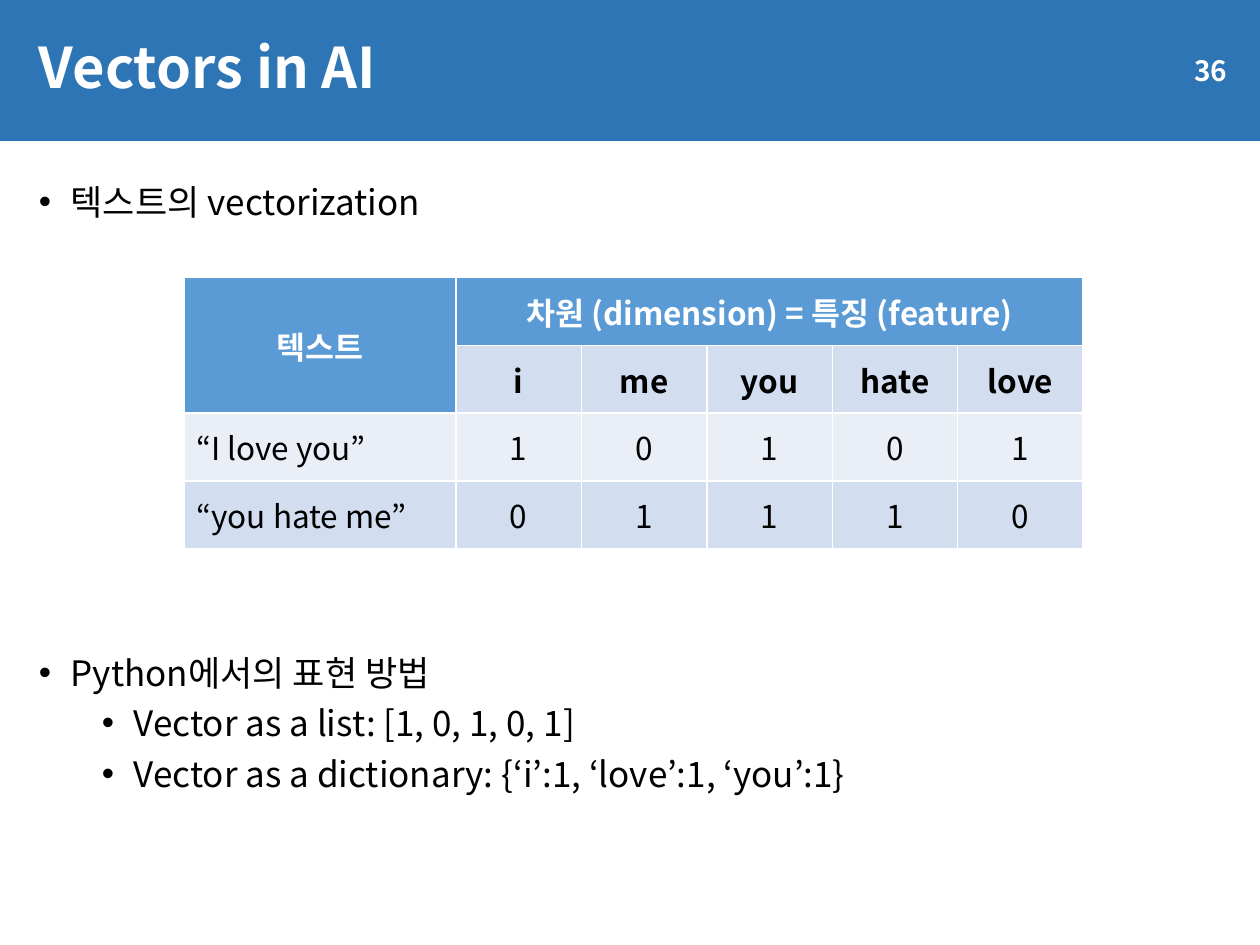
"""Build the "Vectors in AI" slide with a word-vector table and two bullet topics."""
from lxml.etree import SubElement
from pptx import Presentation
from pptx.dml.color import RGBColor
from pptx.enum.shapes import MSO_SHAPE as Shape
from pptx.enum.text import MSO_ANCHOR as Anchor, MSO_AUTO_SIZE as AutoSize, PP_ALIGN as Align
from pptx.oxml.ns import qn
from pptx.util import Cm, Pt

FONT = "Noto Sans CJK KR"
BLUE, HEAD, BAND, LIGHT = "2E75B6", "5B9BD5", "D2DEEF", "EAEFF7"
WHITE, BLACK = "FFFFFF", "000000"

TITLE = "Vectors in AI"
NUMBER = "36"
BULLETS = [  # level, space before, text
    (0, 0, "텍스트의 vectorization"),
    (0, 245, "Python에서의 표현 방법"),
    (1, 5, "Vector as a list: [1, 0, 1, 0, 1]"),
    (1, 5, "Vector as a dictionary: {‘i’:1, ‘love’:1, ‘you’:1}"),
]
ROWS = [
    ["텍스트", "차원 (dimension) = 특징 (feature)", "", "", "", ""],
    ["", "i", "me", "you", "hate", "love"],
    ["“I love you”", "1", "0", "1", "0", "1"],
    ["“you hate me”", "0", "1", "1", "1", "0"],
]
ROW_FILLS = [HEAD, BAND, LIGHT, BAND]
COL_WIDTHS = [5.48] + [2.53] * 5
ROW_HEIGHT = 1.37


def paint(obj, color):
    obj.fill.solid()
    obj.fill.fore_color.rgb = RGBColor.from_string(color)


def place(sp, left, top, width, height):
    sp.left, sp.top, sp.width, sp.height = Cm(left), Cm(top), Cm(width), Cm(height)


def write(p, text, size, color, bold=False, align=Align.LEFT):
    p.alignment = align
    r = p.add_run()
    r.text = text
    r.font.size, r.font.bold, r.font.name = Pt(size), bold, FONT
    r.font.color.rgb = RGBColor.from_string(color)
    SubElement(r.font._element, qn("a:ea"), typeface=FONT)


def add_bar(slide):
    sp = slide.shapes.add_shape(Shape.RECTANGLE, 0, 0, Cm(25.4), Cm(2.84))
    sp.shadow.inherit = False
    paint(sp, BLUE)
    sp.line.fill.background()
    slide.shapes._spTree.insert(2, sp._element)


def add_title(slide):
    sp = slide.shapes.title
    place(sp, 0.53, 0.33, 24.43, 2.16)
    paint(sp, BLUE)
    tf = sp.text_frame
    tf.auto_size, tf.vertical_anchor = AutoSize.NONE, Anchor.MIDDLE
    p = tf.paragraphs[0]
    p.line_spacing = 0.9
    write(p, TITLE, 32, WHITE, True)


def add_bullets(slide):
    sp = slide.placeholders[1]
    place(sp, 0.53, 3.51, 24.43, 15.14)
    tf = sp.text_frame
    tf.auto_size, tf.vertical_anchor = AutoSize.NONE, Anchor.TOP
    for i, (level, before, text) in enumerate(BULLETS):
        p = tf.add_paragraph() if i else tf.paragraphs[0]
        p.level, p.line_spacing, p.space_before = level, 1.0, Pt(before)
        write(p, text, 20, BLACK)
        pPr = p._p.get_or_add_pPr()
        pPr.set("marL", str(Cm(0.64 + 1.27 * level)))
        pPr.set("indent", str(-Cm(0.64)))
        SubElement(pPr, qn("a:buFont"), typeface="Arial")
        SubElement(pPr, qn("a:buChar"), char="•")


def add_number(slide):
    sp = slide.shapes.add_textbox(Cm(21.56), Cm(0.91), Cm(3.43), Cm(1.02))
    paint(sp, BLUE)
    tf = sp.text_frame
    tf.word_wrap, tf.vertical_anchor = True, Anchor.MIDDLE
    write(tf.paragraphs[0], NUMBER, 16, WHITE, True, Align.RIGHT)


def add_vectors(slide):
    table = slide.shapes.add_table(
        len(ROWS), len(COL_WIDTHS), Cm(3.71), Cm(5.59),
        Cm(sum(COL_WIDTHS)), Cm(ROW_HEIGHT * len(ROWS))).table
    for col, width in zip(table.columns, COL_WIDTHS):
        col.width = Cm(width)
    for i, texts in enumerate(ROWS):
        table.rows[i].height = Cm(ROW_HEIGHT)
        for j, text in enumerate(texts):
            cell = table.cell(i, j)
            cell.vertical_anchor = Anchor.MIDDLE
            paint(cell, HEAD if i < 2 and j == 0 else ROW_FILLS[i])
            if text:
                align = Align.LEFT if i > 1 and j == 0 else Align.CENTER
                write(cell.text_frame.paragraphs[0], text, 18,
                      BLACK if i else WHITE, i < 2, align)
    table.cell(0, 0).merge(table.cell(1, 0))
    table.cell(0, 1).merge(table.cell(0, 5))


def main():
    prs = Presentation()
    prs.slide_width, prs.slide_height = Cm(25.4), Cm(19.05)
    slide = prs.slides.add_slide(prs.slide_layouts[1])
    for add in (add_bar, add_title, add_bullets, add_number, add_vectors):
        add(slide)
    prs.save("out.pptx")


if __name__ == "__main__":
    main()
